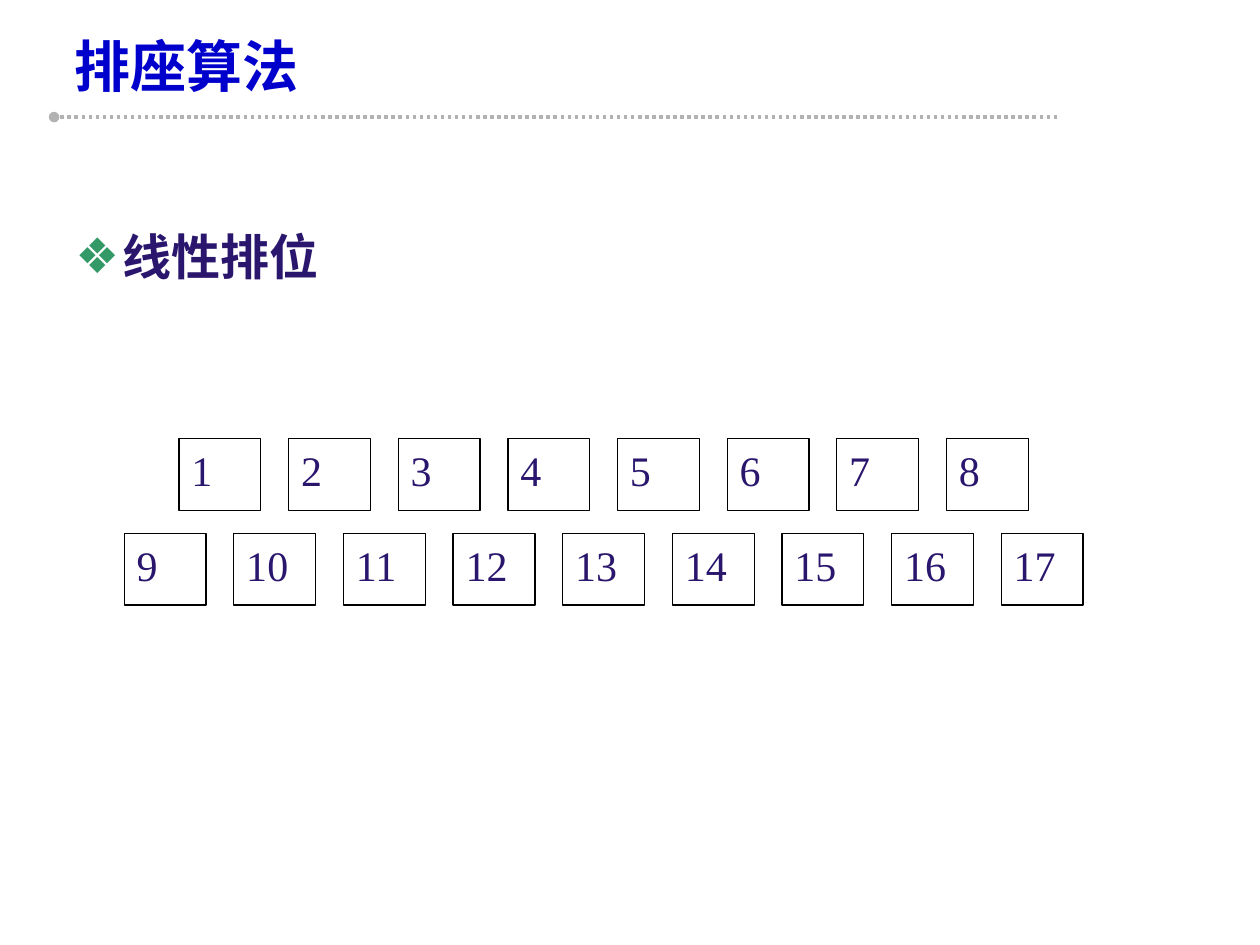
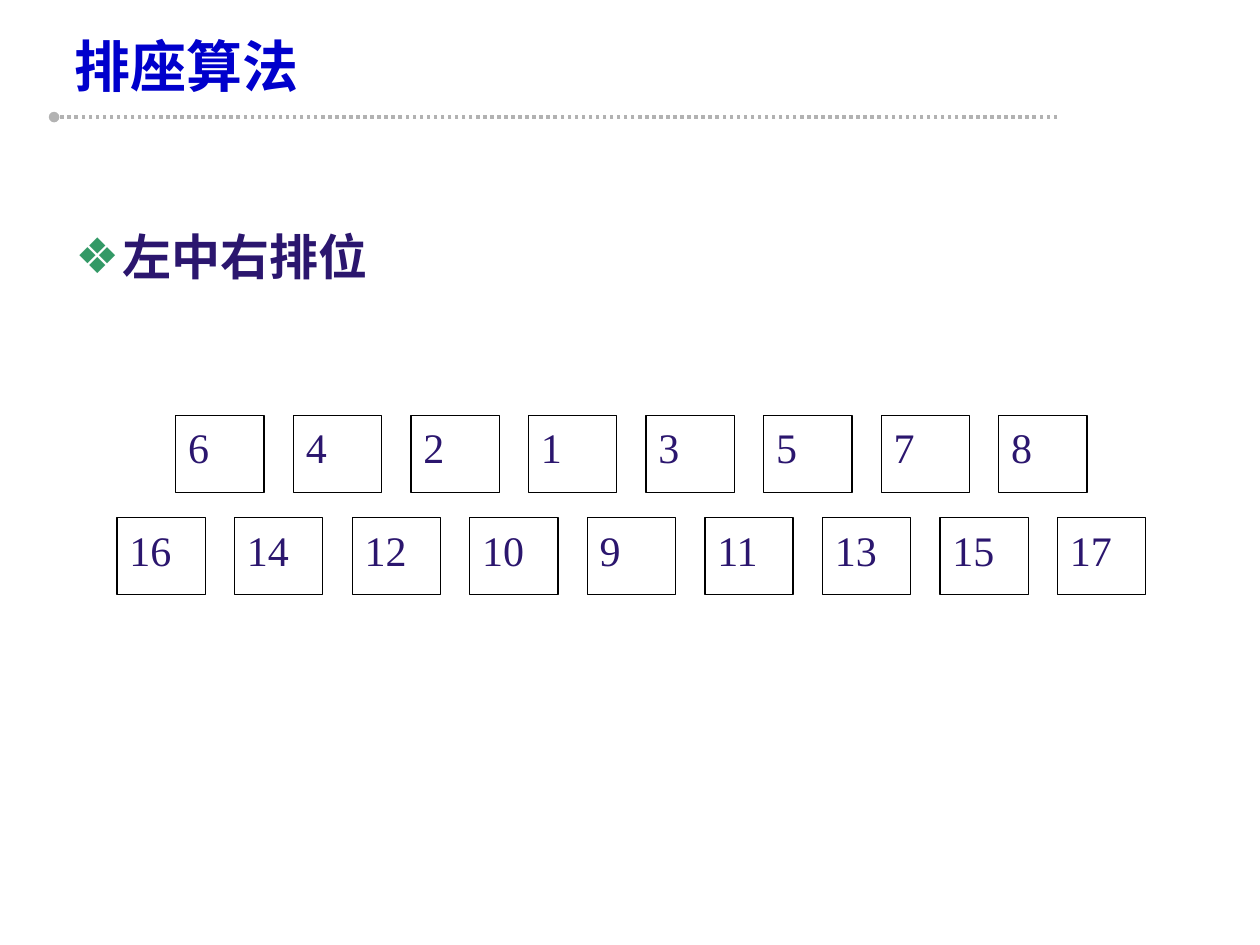
from dataclasses import dataclass
from typing import Any

from lxml.etree import SubElement
from pptx import Presentation
from pptx.dml.color import RGBColor
from pptx.enum.dml import MSO_LINE
from pptx.enum.shapes import MSO_CONNECTOR, MSO_SHAPE
from pptx.enum.text import MSO_ANCHOR, MSO_AUTO_SIZE, PP_ALIGN
from pptx.oxml.ns import qn
from pptx.slide import Slide
from pptx.text.text import TextFrame, _Paragraph
from pptx.util import Cm, Pt

BLUE = RGBColor(0x00, 0x00, 0xCC)
INDIGO = RGBColor(0x2B, 0x16, 0x6E)
GREEN = RGBColor(0x33, 0x99, 0x66)
GREY = RGBColor(0xB2, 0xB2, 0xB2)
BLACK = RGBColor(0x00, 0x00, 0x00)
WHITE = RGBColor(0xFF, 0xFF, 0xFF)

HEADING_FONT = "DejaVu Sans"
TITLE_TEXT = "排座算法"
TITLE_FONT = {"name": HEADING_FONT, "size": Pt(32), "bold": True}
TOPIC_FONT = {"name": HEADING_FONT, "size": Pt(28), "bold": True}
SEAT_FONT = {"name": "Times New Roman", "size": Pt(24), "bold": False}
TITLE_FRAME = {
    "word_wrap": True,
    "margin_left": Cm(0),
    "vertical_anchor": MSO_ANCHOR.MIDDLE,
    "auto_size": MSO_AUTO_SIZE.SHAPE_TO_FIT_TEXT,
}
TOPIC_FRAME = {"word_wrap": True, "vertical_anchor": MSO_ANCHOR.TOP}


@dataclass(frozen=True)
class SeatingPlan:
    """A seating rule with its seat rows and their grid, in centimetres."""

    topic: str
    rows: tuple[tuple[int, ...], ...]
    center: float
    top: float
    seat_width: float
    seat_height: float
    column_step: float
    row_step: float


PLANS = (
    SeatingPlan(
        "线性排位",
        (tuple(range(1, 9)), tuple(range(9, 18))),
        center=12.17, top=8.84, seat_width=1.65, seat_height=1.45,
        column_step=2.21, row_step=1.91,
    ),
    SeatingPlan(
        "左中右排位",
        ((6, 4, 2, 1, 3, 5, 7, 8), (16, 14, 12, 10, 9, 11, 13, 15, 17)),
        center=12.73, top=8.38, seat_width=1.78, seat_height=1.55,
        column_step=2.37, row_step=2.06,
    ),
)


def apply_format(target: Any, values: dict[str, Any]) -> None:
    """Set every attribute named in the format values."""
    for name, value in values.items():
        setattr(target, name, value)


def write_text(frame: TextFrame, text: str, font: dict[str, Any], color: RGBColor) -> _Paragraph:
    """Write one formatted run and return its paragraph."""
    paragraph = frame.paragraphs[0]
    run = paragraph.add_run()
    run.text = text
    apply_format(run.font, font)
    run.font.color.rgb = color
    SubElement(run.font._element, qn("a:ea"), typeface=font["name"])
    return paragraph


def add_bullet(paragraph: _Paragraph) -> None:
    """Give the paragraph a hanging green diamond bullet."""
    paragraph.space_before = Pt(7)
    properties = paragraph._p.get_or_add_pPr()
    properties.set("marL", str(Cm(0.95)))
    properties.set("indent", str(Cm(-0.95)))
    color = SubElement(properties, qn("a:buClr"))
    SubElement(color, qn("a:srgbClr"), val=str(GREEN))
    SubElement(properties, qn("a:buFont"), typeface=HEADING_FONT)
    SubElement(properties, qn("a:buChar"), char="❖")


def add_header(slide: Slide) -> None:
    """Draw the title and the dotted rule below it."""
    rule = slide.shapes.add_connector(
        MSO_CONNECTOR.STRAIGHT, Cm(21.31), Cm(2.36), Cm(1.09), Cm(2.36)
    )
    rule.line.color.rgb = GREY
    apply_format(rule.line, {"width": Pt(2), "dash_style": MSO_LINE.ROUND_DOT})
    SubElement(rule.line._get_or_add_ln(), qn("a:tailEnd"), type="oval")
    SubElement(rule._element.spPr, qn("a:effectLst"))
    title = slide.shapes.add_textbox(Cm(1.5), Cm(0.5), Cm(19.84), Cm(1.63))
    apply_format(title.text_frame, TITLE_FRAME)
    write_text(title.text_frame, TITLE_TEXT, TITLE_FONT, BLUE)


def add_topic(slide: Slide, text: str) -> None:
    """Draw the bulleted name of the seating rule."""
    topic = slide.shapes.add_textbox(Cm(1.27), Cm(4.45), Cm(22.86), Cm(12.57))
    apply_format(topic.text_frame, TOPIC_FRAME)
    add_bullet(write_text(topic.text_frame, text, TOPIC_FONT, INDIGO))


def add_seat(slide: Slide, plan: SeatingPlan, number: int, left: float, top: float) -> None:
    """Draw one numbered seat."""
    seat = slide.shapes.add_shape(
        MSO_SHAPE.RECTANGLE, Cm(left), Cm(top), Cm(plan.seat_width), Cm(plan.seat_height)
    )
    seat.shadow.inherit = False
    seat.fill.solid()
    seat.fill.fore_color.rgb = WHITE
    seat.line.color.rgb = BLACK
    seat.line.width = Pt(0.75)
    seat.text_frame.vertical_anchor = MSO_ANCHOR.TOP
    paragraph = write_text(seat.text_frame, str(number), SEAT_FONT, INDIGO)
    paragraph.alignment = PP_ALIGN.JUSTIFY


def add_seats(slide: Slide, plan: SeatingPlan) -> None:
    """Draw every seat row centred on the same axis."""
    for row_index, row in enumerate(plan.rows):
        row_width = (len(row) - 1) * plan.column_step + plan.seat_width
        left = plan.center - row_width / 2
        top = plan.top + row_index * plan.row_step
        for column, number in enumerate(row):
            add_seat(slide, plan, number, left + column * plan.column_step, top)


def main() -> None:
    """Build one slide for each seating plan."""
    presentation = Presentation()
    apply_format(presentation, {"slide_width": Cm(25.4), "slide_height": Cm(19.05)})
    for plan in PLANS:
        slide = presentation.slides.add_slide(presentation.slide_layouts[6])
        add_header(slide)
        add_topic(slide, plan.topic)
        add_seats(slide, plan)
    presentation.save("out.pptx")


if __name__ == "__main__":
    main()
